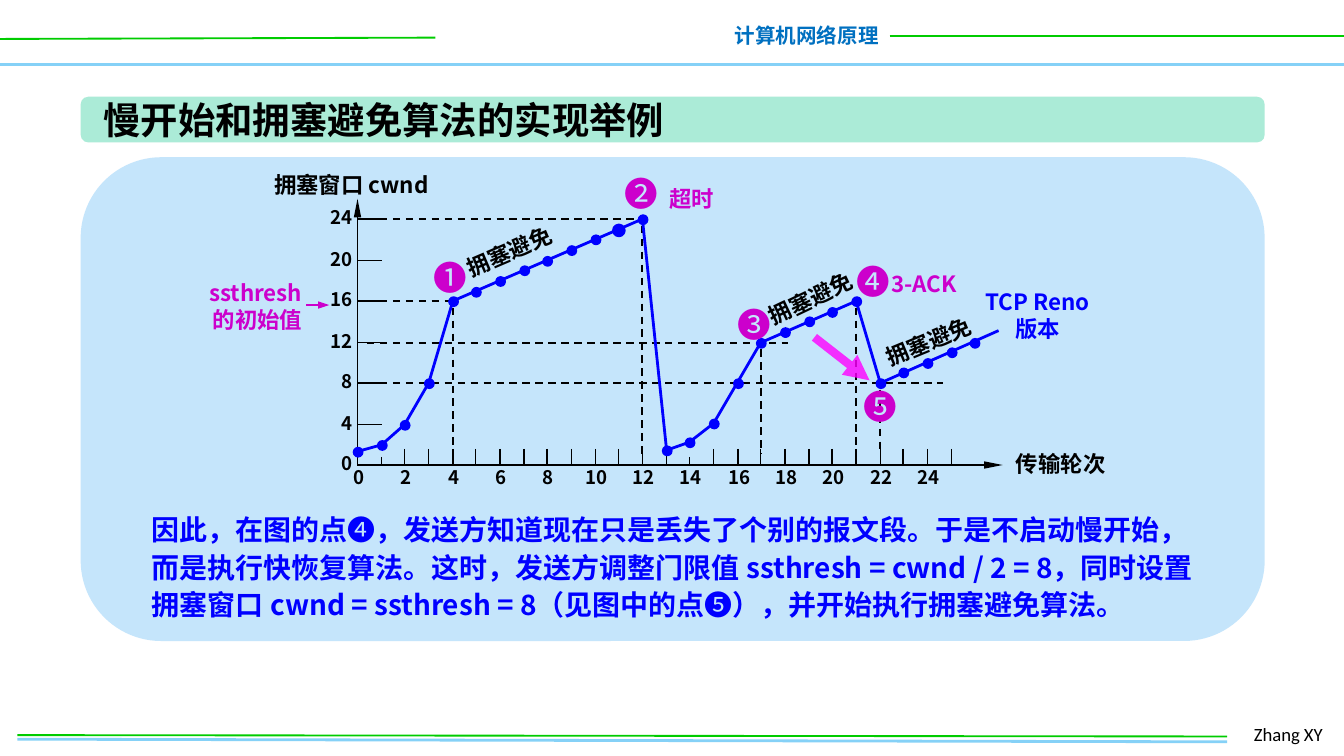
from itertools import groupby

from lxml import etree
from pptx import Presentation
from pptx.dml.color import RGBColor
from pptx.enum.dml import MSO_LINE
from pptx.enum.shapes import MSO_CONNECTOR, MSO_SHAPE
from pptx.enum.text import MSO_ANCHOR, PP_ALIGN
from pptx.oxml.ns import qn
from pptx.util import Pt

PX = 9144  # 100 px to the inch
DASH = MSO_LINE.DASH
STRAIGHT = MSO_CONNECTOR.STRAIGHT
ROUND, DOT = MSO_SHAPE.ROUNDED_RECTANGLE, MSO_SHAPE.OVAL
LEFT, MID, RIGHT = PP_ALIGN.LEFT, PP_ALIGN.CENTER, PP_ALIGN.RIGHT
CJK, LATIN = "Noto Sans CJK SC", "Calibri"
BADGES = "❶❷❸❹❺"

BLACK = RGBColor(0x00, 0x00, 0x00)
BLUE = RGBColor(0x00, 0x00, 0xFF)
PURPLE = RGBColor(0xCC, 0x00, 0xCC)
PINK = RGBColor(0xFF, 0x00, 0xFF)
GREEN = RGBColor(0x00, 0xCC, 0x00)
SKY = RGBColor(0x85, 0xD1, 0xF7)
NAVY = RGBColor(0x00, 0x70, 0xC0)
MINT = RGBColor(0xAB, 0xEB, 0xD7)
PALE = RGBColor(0xC5, 0xE5, 0xFB)

# Window size at each round
SIZES = [1.25, 2, 4, 8, *range(16, 25), 1.4, 2.2, 4.1, 8, *range(12, 17), *range(8, 13)]


def emu(*nums):
    return [round(n) * PX for n in nums]


def write(slide, box, text, size=12, color=BLACK, bold=True, align=LEFT,
          font=CJK, wrap=False, pitch=None, spin=0):
    """Text centred in height on its box; circled digits are never bold."""
    area = slide.shapes.add_textbox(*emu(*box))
    area.rotation = spin
    frame = area.text_frame
    frame.word_wrap = wrap
    frame.vertical_anchor = MSO_ANCHOR.MIDDLE
    frame.margin_left = frame.margin_right = frame.margin_top = frame.margin_bottom = 0
    for num, line in enumerate(text.split("\n")):
        para = frame.add_paragraph() if num else frame.paragraphs[0]
        para.alignment = align
        if pitch:
            para.line_spacing = Pt(pitch)
        for badge, chars in groupby(line, lambda char: char in BADGES):
            run = para.add_run()
            run.text = "".join(chars)
            run.font.size = Pt(size)
            run.font.bold = bold and not badge
            run.font.name = font
            run.font.color.rgb = color
            etree.SubElement(run.font._element, qn("a:ea"), typeface=font)


def middle(slide, x, y, text, **style):
    """Text centred on a point."""
    write(slide, (x - 47, y - 16, 94, 32), text, align=MID, **style)


def rule(slide, x1, y1, x2, y2, color=BLACK, width=1, dash=None, head=None, alpha=None):
    """Straight line; head gives the width and length of its arrowhead."""
    line = slide.shapes.add_connector(STRAIGHT, *emu(x1, y1, x2, y2))
    line.line.color.rgb = color
    line.line.width = Pt(width)
    if dash:
        line.line.dash_style = dash
    props = line._element.spPr
    pen = props.find(qn("a:ln"))
    if alpha:
        etree.SubElement(pen.find(".//" + qn("a:srgbClr")), qn("a:alpha"), val=str(alpha * 1000))
    if head:
        etree.SubElement(pen, qn("a:tailEnd"), type="triangle", w=head[0], len=head[1])
    etree.SubElement(props, qn("a:effectLst"))


def solid(slide, kind, box, color, edge=None):
    shape = slide.shapes.add_shape(kind, *emu(*box))
    shape.shadow.inherit = False
    shape.fill.solid()
    shape.fill.fore_color.rgb = color
    if edge:
        shape.line.color.rgb = color
        shape.line.width = Pt(edge)
    else:
        shape.line.fill.background()


def trace(slide, spots):
    """Open blue curve through the given points."""
    first, *rest = [emu(*spot) for spot in spots]
    pen = slide.shapes.build_freeform(*first, scale=1.0)
    pen.add_line_segments(rest, close=False)
    curve = pen.convert_to_shape()
    curve.shadow.inherit = False
    curve.fill.background()
    curve.line.color.rgb = BLUE
    curve.line.width = Pt(1.5)


def header(slide, box):
    x, y, w, h = box
    rule(slide, x, y + h, x + w, y + h, SKY, 2)
    rule(slide, x, y + 29, x + 324, y + 28, GREEN)
    rule(slide, x + 662, y + 27, x + w, y + 27, GREEN)
    write(slide, (x + 536, y + 12, 118, 29), "计算机网络原理", size=11, color=NAVY, align=RIGHT)


def footer(slide, box):
    x, y, w, h = box
    rule(slide, x, y + 17, x + 900, y + 19, SKY, 1.5)
    rule(slide, x, y + 14, x + 900, y + 15, GREEN)
    write(slide, (x + 920, y, w - 920, h), "Zhang XY", size=10, bold=False, font=LATIN)


def title(slide, box):
    x, y, w, h = box
    solid(slide, ROUND, box, MINT)
    write(slide, (x + 17, y, w - 34, h), "慢开始和拥塞避免算法的实现举例", size=20)


def plot(slide, box):
    x, y, w, h = box
    base = y + h

    def col(turn):
        return x + w * turn / 27.17

    def row(size):
        return base - h * size / 26

    # Axes, ticks and numbers
    rule(slide, x, base, x + w, base, head=("sm", "lg"))
    rule(slide, x, base, x, y, head=("sm", "lg"))
    for turn in range(1, 26):
        rule(slide, col(turn), base - (6 if turn in (1, 14) else 12), col(turn), base, width=0.75)
    for turn in range(0, 25, 2):
        middle(slide, col(turn) + 1, base + 9, str(turn), size=10)
    for size in range(0, 25, 4):
        if size:
            rule(slide, x, row(size), x + 18, row(size), width=0.75)
        write(slide, (x - 34, row(size) - 15, 30, 27), str(size), size=10, align=RIGHT)
    write(slide, (x - 62, y - 27, 133, 32), "拥塞窗口 cwnd")
    write(slide, (x + w + 10, base - 17, 74, 32), "传输轮次")

    # Dashed guides
    for size, end in ((24, 12), (16, 4), (12, 18.1), (8, 24.7)):
        rule(slide, x + 7, row(size), col(end), row(size), dash=DASH)
    for turn in (4, 12, 17, 21, 22):
        rule(slide, col(turn), row(SIZES[turn]) + 5, col(turn), base - 8, dash=DASH)

    # Curve and its points
    spots = [(col(turn), row(size)) for turn, size in enumerate(SIZES)]
    trace(slide, [spots[turn] for turn in (12, 4, 3, 2, 1, 0)])
    trace(slide, [spots[turn] for turn in (13, 14, 15, 17, 21)])
    for start, end in ((12, 13), (21, 22)):
        rule(slide, *spots[start], *spots[end], BLUE, 1.5)
    rule(slide, *spots[22], col(27), row(13.1), BLUE, 1.5)
    for turn, (px, py) in enumerate(spots):
        solid(slide, DOT, (px - 3, py - 3, 7, 7), BLUE, edge=2.25 if turn == 11 else 0.75)

    # Phase names and numbered events
    for dx, dy, spin in ((113, 39, -23.2), (337, 74, -25.5), (425, 106, -22.6)):
        middle(slide, x + dx, y + dy, "拥塞避免", spin=spin)
    for badge, (dx, dy) in zip(BADGES, ((69, 58), (211, -4), (295, 93), (384, 61), (389, 154))):
        middle(slide, x + dx, y + dy, badge, size=18, color=PURPLE)
    write(slide, (x + 232, y - 15, 60, 30), "超时", color=PURPLE)
    write(slide, (x + 397, y + 48, 60, 30), "3-ACK", color=PURPLE)
    middle(slide, x + 506, y + 86, "TCP Reno\n版本", color=BLUE, pitch=14.5)
    write(slide, (x - 134, y + 62, 93, 36), "ssthresh\n的初始值", color=PURPLE,
          align=RIGHT, pitch=14.5)
    rule(slide, x - 38, y + 79, x - 21, y + 79, PURPLE, 1.5, head=("sm", "med"))
    rule(slide, x + 340, y + 103, x + 381, y + 135, PINK, 4.5, head=("med", "med"), alpha=80)


def panel(slide, box):
    x, y, w, h = box
    solid(slide, ROUND, box, PALE)
    plot(slide, (x + 206, y + 31, 480, 198))
    write(slide, (x + 53, y + 257, 781, 93),
          "因此，在图的点❹，发送方知道现在只是丢失了个别的报文段。于是不启动慢开始，"
          "而是执行快恢复算法。这时，发送方调整门限值 ssthresh = cwnd / 2 = 8，"
          "同时设置拥塞窗口 cwnd = ssthresh = 8（见图中的点❺），并开始执行拥塞避免算法。",
          size=15, color=BLUE, wrap=True, pitch=20)


def main():
    deck = Presentation()
    deck.slide_width = 1000 * PX
    deck.slide_height = deck.slide_width * 9 // 16
    slide = deck.slides.add_slide(deck.slide_layouts[6])
    header(slide, (0, 0, 1000, 48))
    footer(slide, (13, 533, 984, 27))
    title(slide, (60, 72, 881, 34))
    panel(slide, (60, 117, 881, 360))
    deck.save("out.pptx")


if __name__ == "__main__":
    main()
